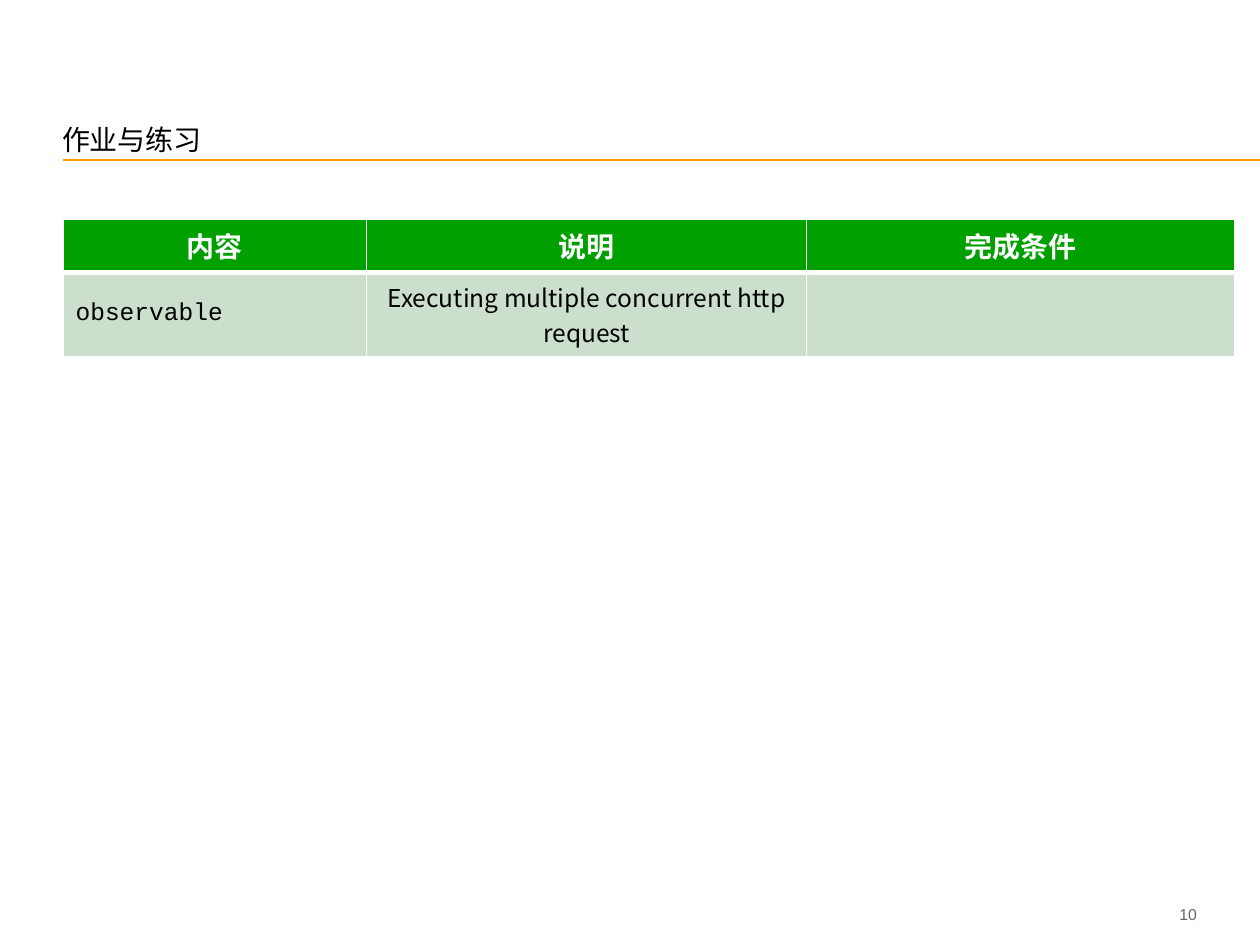
from dataclasses import dataclass

from lxml.etree import SubElement
from pptx import Presentation
from pptx.dml.color import RGBColor
from pptx.enum.shapes import MSO_CONNECTOR
from pptx.enum.text import MSO_ANCHOR as Anchor, MSO_AUTO_SIZE as AutoSize, PP_ALIGN as Align
from pptx.oxml.ns import qn
from pptx.util import Cm, Pt

COLORS = {
    "text": "000000",
    "header_text": "FFFFFF",
    "header_fill": "00A000",
    "body_fill": "CCDFCC",
    "border": "FFFFFF",
    "rule": "FF9900",
    "number": "666666",
}
CJK_FONT = "Noto Sans CJK SC"


@dataclass(frozen=True)
class Style:
    size: float
    color: str
    font: str = CJK_FONT
    bold: bool = False
    align: Align = Align.CENTER


@dataclass(frozen=True)
class Cell:
    text: str
    style: Style
    fill: str
    bottom_border: float = 1


TITLE = Style(16, "text", align=Align.LEFT)
NUMBER = Style(9, "number", font="Arial", align=Align.RIGHT)
HEADER = Style(16, "header_text", bold=True)
BODY = Style(14, "text")
CODE = Style(14, "text", font="Courier New", align=Align.LEFT)

COLUMN_WIDTHS = (6.12, 8.87, 8.64)
ROW_HEIGHTS = (1.04, 1.68)
EXERCISES = (
    [Cell(label, HEADER, "header_fill", 3) for label in ("内容", "说明", "完成条件")],
    [
        Cell("observable", CODE, "body_fill"),
        Cell("Executing multiple concurrent http request", BODY, "body_fill"),
        Cell("", BODY, "body_fill"),
    ],
)


def rgb(name: str) -> RGBColor:
    return RGBColor.from_string(COLORS[name])


def write(frame, text: str, style: Style) -> None:
    paragraph = frame.paragraphs[0]
    paragraph.alignment = style.align
    if not text:
        paragraph.font.size = Pt(style.size)
        return
    run = paragraph.add_run()
    run.text = text
    for attribute, value in {"name": style.font, "size": Pt(style.size), "bold": style.bold}.items():
        setattr(run.font, attribute, value)
    run.font.color.rgb = rgb(style.color)
    SubElement(run.font._element, qn("a:ea"), typeface=style.font)


def format_frame(frame, anchor: Anchor, insets: tuple) -> None:
    """Insets are left, top, right, bottom in centimetres."""
    settings = {"word_wrap": True, "auto_size": AutoSize.NONE, "vertical_anchor": anchor}
    for side, inset in zip(("left", "top", "right", "bottom"), insets):
        settings[f"margin_{side}"] = Cm(inset)
    for attribute, value in settings.items():
        setattr(frame, attribute, value)


def add_borders(cell, bottom: float) -> None:
    properties = cell._tc.get_or_add_tcPr()
    for side, width in {"L": 1, "R": 1, "T": 1, "B": bottom}.items():
        line = SubElement(properties, qn(f"a:ln{side}"), w=str(Pt(width)))
        fill = SubElement(line, qn("a:solidFill"))
        SubElement(fill, qn("a:srgbClr"), val=COLORS["border"])


def add_title(slide, text: str) -> None:
    title = slide.shapes.title
    title.left, title.top, title.width, title.height = Cm(1.25), Cm(0.97), Cm(22.78), Cm(2.18)
    format_frame(title.text_frame, Anchor.BOTTOM, (0, 0, 0, 0))
    write(title.text_frame, text, TITLE)
    title.text_frame.paragraphs[0].line_spacing = 1.5


def add_title_rule(slide) -> None:
    rule = slide.shapes.add_connector(
        MSO_CONNECTOR.STRAIGHT, Cm(1.27), Cm(3.22), Cm(25.4), Cm(3.22))
    rule.line.color.rgb = rgb("rule")
    rule.line.width = Pt(1)
    SubElement(rule._element.spPr, qn("a:effectLst"))


def add_page_number(slide, number: str) -> None:
    box = slide.shapes.add_textbox(Cm(22.61), Cm(18.26), Cm(1.52), Cm(0.36))
    format_frame(box.text_frame, Anchor.MIDDLE, (0.25, 0.13, 0, 0.13))
    write(box.text_frame, number, NUMBER)


def add_exercise_table(slide) -> None:
    table = slide.shapes.add_table(
        len(ROW_HEIGHTS), len(COLUMN_WIDTHS), Cm(1.27), Cm(4.42),
        Cm(sum(COLUMN_WIDTHS)), Cm(sum(ROW_HEIGHTS))).table
    for column, width in zip(table.columns, COLUMN_WIDTHS):
        column.width = Cm(width)
    for row, height, contents in zip(table.rows, ROW_HEIGHTS, EXERCISES):
        row.height = Cm(height)
        for cell, content in zip(row.cells, contents):
            add_borders(cell, content.bottom_border)
            cell.fill.solid()
            cell.fill.fore_color.rgb = rgb(content.fill)
            cell.vertical_anchor = Anchor.MIDDLE
            write(cell.text_frame, content.text, content.style)


def main() -> None:
    presentation = Presentation()
    presentation.slide_width, presentation.slide_height = Cm(25.4), Cm(19.05)
    title_only = presentation.slide_layouts[5]
    slide = presentation.slides.add_slide(title_only)
    add_title_rule(slide)
    add_title(slide, "作业与练习")
    add_page_number(slide, "10")
    add_exercise_table(slide)
    presentation.save("out.pptx")


if __name__ == "__main__":
    main()
